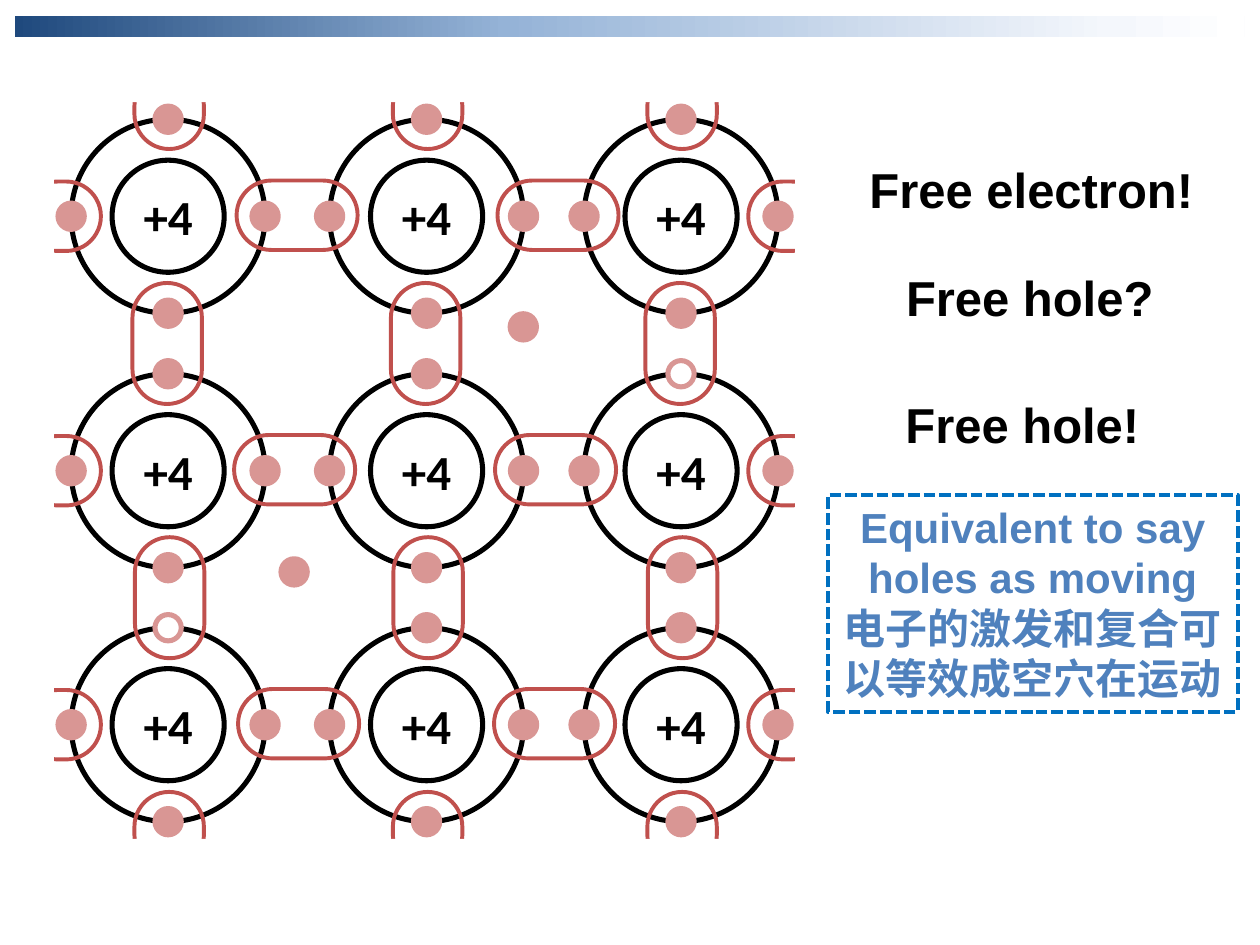
from copy import deepcopy

from lxml.etree import SubElement
from pptx import Presentation
from pptx.dml.color import RGBColor
from pptx.enum.dml import MSO_LINE
from pptx.enum.shapes import MSO_SHAPE
from pptx.enum.text import MSO_ANCHOR, PP_ALIGN
from pptx.oxml.ns import qn
from pptx.util import Cm, Pt

BLACK = RGBColor(0x00, 0x00, 0x00)
WHITE = RGBColor(0xFF, 0xFF, 0xFF)
PINK = RGBColor(0xD9, 0x96, 0x94)
RED = RGBColor(0xC0, 0x50, 0x4D)
BLUE = RGBColor(0x4F, 0x81, 0xBD)
DASH_BLUE = RGBColor(0x00, 0x70, 0xC0)
BAND_STOPS = [
    (0, RGBColor(0x1F, 0x49, 0x7D)),
    (0.4, RGBColor(0x95, 0xB3, 0xD7)),
    (0.89, RGBColor(0xF4, 0xF7, 0xFC)),
    (1, WHITE),
]

ATOM, CORE, ELECTRON = 3.91, 2.26, 0.53
BOND_LENGTH, END_LENGTH, BOND_WIDTH = 2.44, 1.57, 1.4
MASK_DEPTH, MASK_WIDTH = 1.4, 1.63
END_OFFSET, MASK_OFFSET = 2.14, 3.0
COLUMNS = [3.39, 8.6, 13.73]
ROWS = [4.36, 9.49, 14.61]
BOND_CENTRES = [(5.99, 11.25), (5.94, 11.2), (6.02, 11.18)]
BOND_SHIFTS = [0, 0.05]
HOLES = {(1, 2), (2, 0)}
FREE_ELECTRONS = [(10.55, 6.59), (5.93, 11.53)]


def add_outline(slide, kind, box, fill=None, line=None, weight=2.88):
    outline = slide.shapes.add_shape(kind, *(Cm(length) for length in box))
    outline.shadow.inherit = False
    if fill is None:
        outline.fill.background()
    else:
        outline.fill.solid()
        outline.fill.fore_color.rgb = fill
    if line is None:
        outline.line.fill.background()
    else:
        outline.line.color.rgb = line
        outline.line.width = Pt(weight)
    return outline


def write(holder, *lines, size=28, font="Arial", color=BLACK, wrap=True,
          anchor=MSO_ANCHOR.TOP):
    frame = holder.text_frame
    frame.word_wrap = wrap
    frame.vertical_anchor = anchor
    for index, line in enumerate(lines):
        paragraph = frame.add_paragraph() if index else frame.paragraphs[0]
        paragraph.text = line
        paragraph.alignment = PP_ALIGN.CENTER
        paragraph.font.size = Pt(size)
        paragraph.font.name = font
        paragraph.font.bold = True
        paragraph.font.color.rgb = color


def centred(x, y, width, height):
    return x - width / 2, y - height / 2, width, height


def add_electron(slide, x, y, fill=PINK):
    add_outline(slide, MSO_SHAPE.OVAL, centred(x, y, ELECTRON, ELECTRON), fill, PINK)


def add_atom(slide, left, top, size, has_hole):
    radius = size / 2
    x, y = left + radius, top + radius
    add_outline(slide, MSO_SHAPE.OVAL, (left, top, size, size), line=BLACK)
    core = add_outline(slide, MSO_SHAPE.OVAL, centred(x, y, CORE, CORE), line=BLACK)
    write(core, "+4", font="Calibri", wrap=False, anchor=MSO_ANCHOR.MIDDLE)
    add_electron(slide, x, top, WHITE if has_hole else PINK)
    add_electron(slide, left, y)
    add_electron(slide, x, top + size)
    add_electron(slide, left + size, y)


def add_bond(slide, x, y, length=BOND_LENGTH, rotation=0):
    bond = add_outline(slide, MSO_SHAPE.ROUNDED_RECTANGLE,
                       centred(x, y, length, BOND_WIDTH), line=RED, weight=2.25)
    bond.adjustments[0] = 0.5
    bond.rotation = rotation


def add_open_bond(slide, x, y, dx, dy):
    rotation = 90 if dy else 0
    add_bond(slide, x + dx * END_OFFSET, y + dy * END_OFFSET, END_LENGTH, rotation)
    mask = add_outline(
        slide, MSO_SHAPE.RECTANGLE,
        centred(x + dx * MASK_OFFSET, y + dy * MASK_OFFSET, MASK_DEPTH, MASK_WIDTH),
        fill=WHITE)
    mask.rotation = rotation


def add_lattice(slide):
    for row, y in enumerate(ROWS):
        for column, x in enumerate(COLUMNS):
            add_atom(slide, *centred(x, y, ATOM, ATOM)[:3], (row, column) in HOLES)
    for y, centres in zip(ROWS, BOND_CENTRES):
        for x in centres:
            add_bond(slide, x, y - 0.02)
        add_open_bond(slide, COLUMNS[0], y, -1, 0)
        add_open_bond(slide, COLUMNS[-1], y, 1, 0)
    for x in COLUMNS:
        for upper, lower, shift in zip(ROWS, ROWS[1:], BOND_SHIFTS):
            add_bond(slide, x + shift - 0.02, (upper + lower) / 2, rotation=90)
        add_open_bond(slide, x + 0.02, ROWS[0], 0, -1)
        add_open_bond(slide, x + 0.02, ROWS[-1], 0, 1)
    for x, y in FREE_ELECTRONS:
        add_electron(slide, x, y)


def add_band(slide, box):
    band = add_outline(slide, MSO_SHAPE.RECTANGLE, box)
    band.fill.gradient()
    band.fill.gradient_angle = 0
    stop_list = band._element.spPr.find(qn("a:gradFill")).find(qn("a:gsLst"))
    while len(stop_list) < len(BAND_STOPS):
        stop_list.append(deepcopy(stop_list[0]))
    for stop, (position, color) in zip(band.fill.gradient_stops, BAND_STOPS):
        stop.position = position
        stop.color.rgb = color


def add_remarks(slide, left, top, width):
    for text, dx, dy in [("Free electron!", 0, 0), ("Free hole?", -0.03, 2.16),
                         ("Free hole!", -0.18, 4.72)]:
        remark = slide.shapes.add_textbox(Cm(left + dx), Cm(top + dy), Cm(width), Cm(1.45))
        write(remark, text)
    equivalence = add_outline(slide, MSO_SHAPE.RECTANGLE,
                              (left + 0.03, top + 6.88, width, 4.37),
                              line=DASH_BLUE, weight=2.25)
    equivalence.line.dash_style = MSO_LINE.SQUARE_DOT
    write(equivalence, "Equivalent to say holes as moving",
          "电子的激发和复合可以等效成空穴在运动", size=24, color=BLUE)


def main():
    presentation = Presentation()
    presentation.slide_width = Cm(25.4)
    presentation.slide_height = Cm(19.05)
    slide = presentation.slides.add_slide(presentation.slide_layouts[6])
    add_lattice(slide)
    add_band(slide, (0.3, 0.33, 24.79, 0.41))
    add_remarks(slide, 16.66, 3.1, 8.26)
    presentation.save("out.pptx")


if __name__ == "__main__":
    main()
